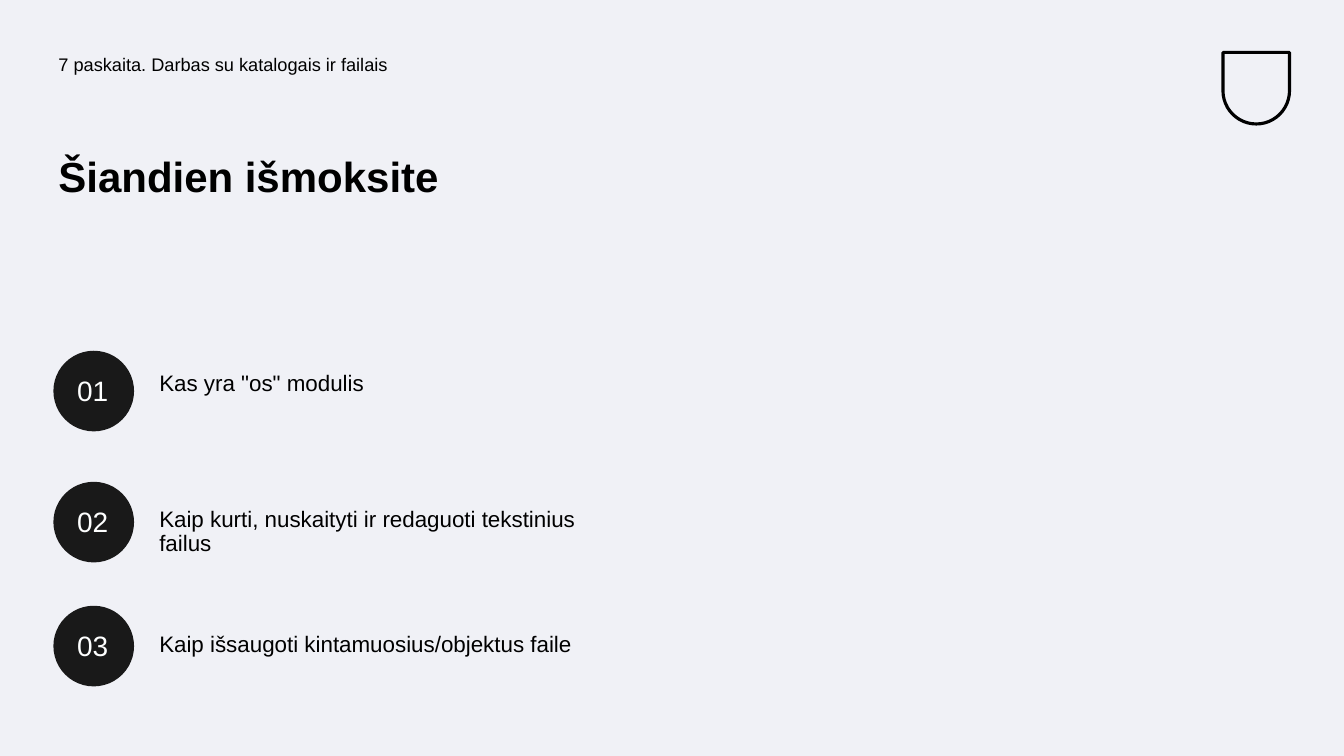
from pptx import Presentation
from pptx.dml.color import RGBColor
from pptx.enum.shapes import MSO_SHAPE as Preset
from pptx.enum.text import MSO_ANCHOR as Anchor, PP_ALIGN as Align
from pptx.util import Inches, Pt

COLORS = {
    "background": "F0F1F6",
    "text": "000000",
    "circle": "191919",
    "number": "FEFFFF",
}


def color(name):
    return RGBColor.from_string(COLORS[name])


def add_text(page, text, left, top, width, height, size=16, ink="text", bold=False,
             align=Align.LEFT, anchor=Anchor.TOP, line_spacing=0.9, before=10):
    box = page.shapes.add_textbox(Inches(left), Inches(top), Inches(width), Inches(height))
    frame = box.text_frame
    frame.word_wrap = True
    frame.vertical_anchor = anchor
    frame.margin_left = frame.margin_right = Inches(0.05)
    frame.margin_top = frame.margin_bottom = Inches(0.05)
    para = frame.paragraphs[0]
    para.alignment = align
    para.line_spacing = line_spacing
    para.space_before = Pt(before)
    span = para.add_run()
    span.text = text
    span.font.name = "Arial"
    span.font.size = Pt(size)
    span.font.bold = bold
    span.font.color.rgb = color(ink)


# Slide and background
deck = Presentation()
deck.slide_width, deck.slide_height = Inches(13.33), Inches(7.5)
page = deck.slides.add_slide(deck.slide_layouts[6])
page.background.fill.solid()
page.background.fill.fore_color.rgb = color("background")

# Plain badge in the top right corner
badge = page.shapes.add_shape(Preset.ROUND_2_SAME_RECTANGLE, Inches(12.13), Inches(0.52),
                              Inches(0.66), Inches(0.71))
badge.adjustments[0] = 0
badge.adjustments[1] = 0.5
badge.shadow.inherit = False
badge.fill.background()
badge.line.color.rgb = color("text")
badge.line.width = Pt(2.25)

# Lecture name and title
margin = 0.53
add_text(page, "7 paskaita. Darbas su katalogais ir failais", margin, 0.5, 6.14, 0.49, size=13)
add_text(page, "Šiandien išmoksite", margin, 1.5, 5.63, 1.49, size=30, bold=True, before=0)

# Numbered topics: circle top, text top, text width, text height, wording
topics = [
    (3.48, 3.64, 4.63, 0.5, 'Kas yra "os" modulis'),
    (4.78, 4.99, 4.63, 0.58, "Kaip kurti, nuskaityti ir redaguoti tekstinius failus"),
    (6.01, 6.23, 4.87, 0.36, "Kaip išsaugoti kintamuosius/objektus faile"),
]
diameter = 0.8
for number, (circle_top, text_top, width, height, wording) in enumerate(topics, start=1):
    add_text(page, wording, margin + 1, text_top, width, height)
    circle = page.shapes.add_shape(Preset.OVAL, Inches(margin), Inches(circle_top),
                                   Inches(diameter), Inches(diameter))
    circle.shadow.inherit = False
    circle.fill.solid()
    circle.fill.fore_color.rgb = color("circle")
    circle.line.fill.background()
    add_text(page, f"{number:02d}", margin + 0.16, circle_top + 0.18, 0.46, 0.43, size=20,
             ink="number", align=Align.CENTER, anchor=Anchor.MIDDLE, line_spacing=1, before=0)

deck.save("out.pptx")
